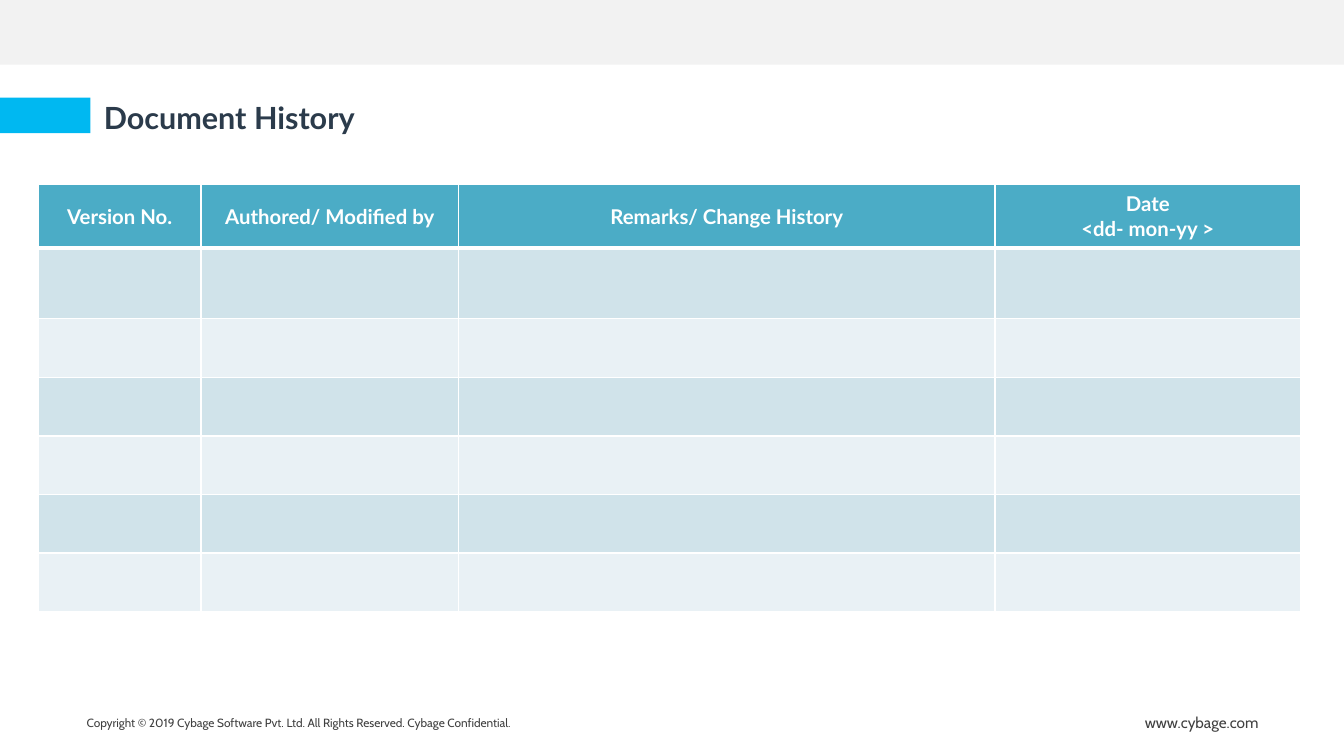
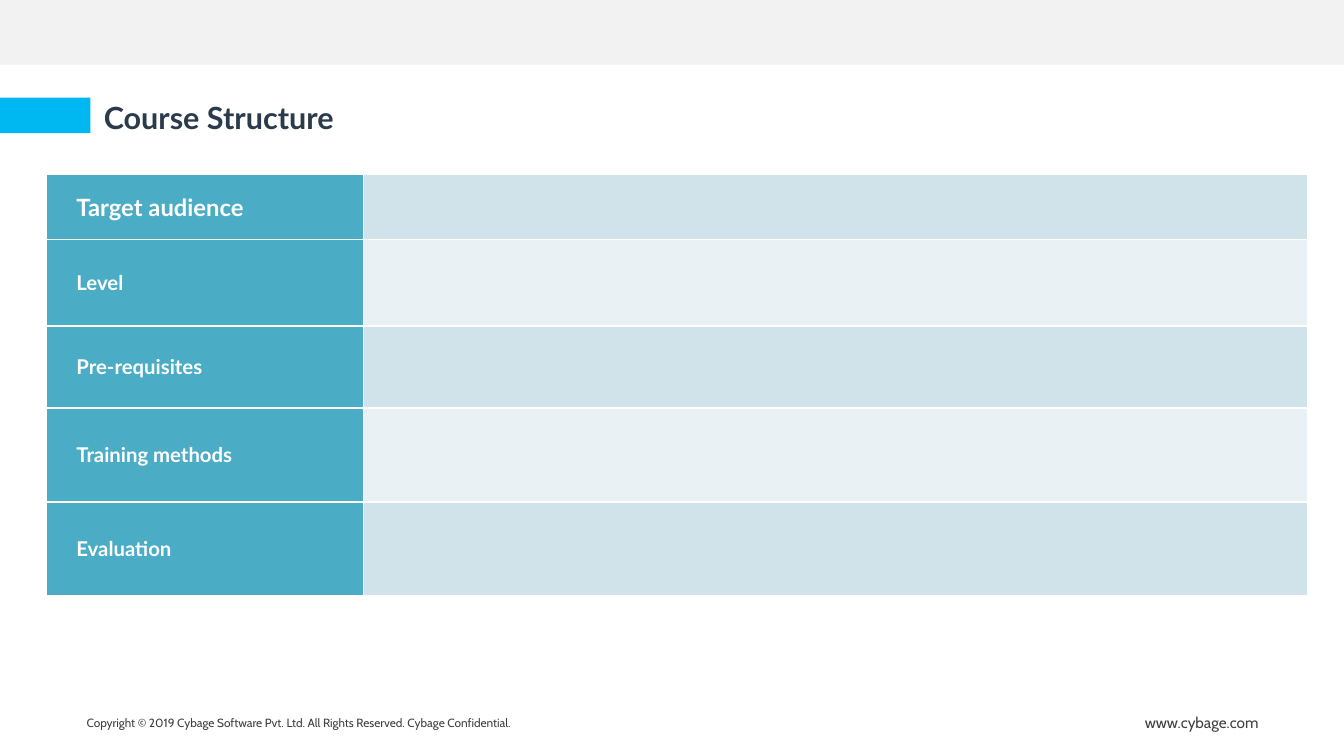
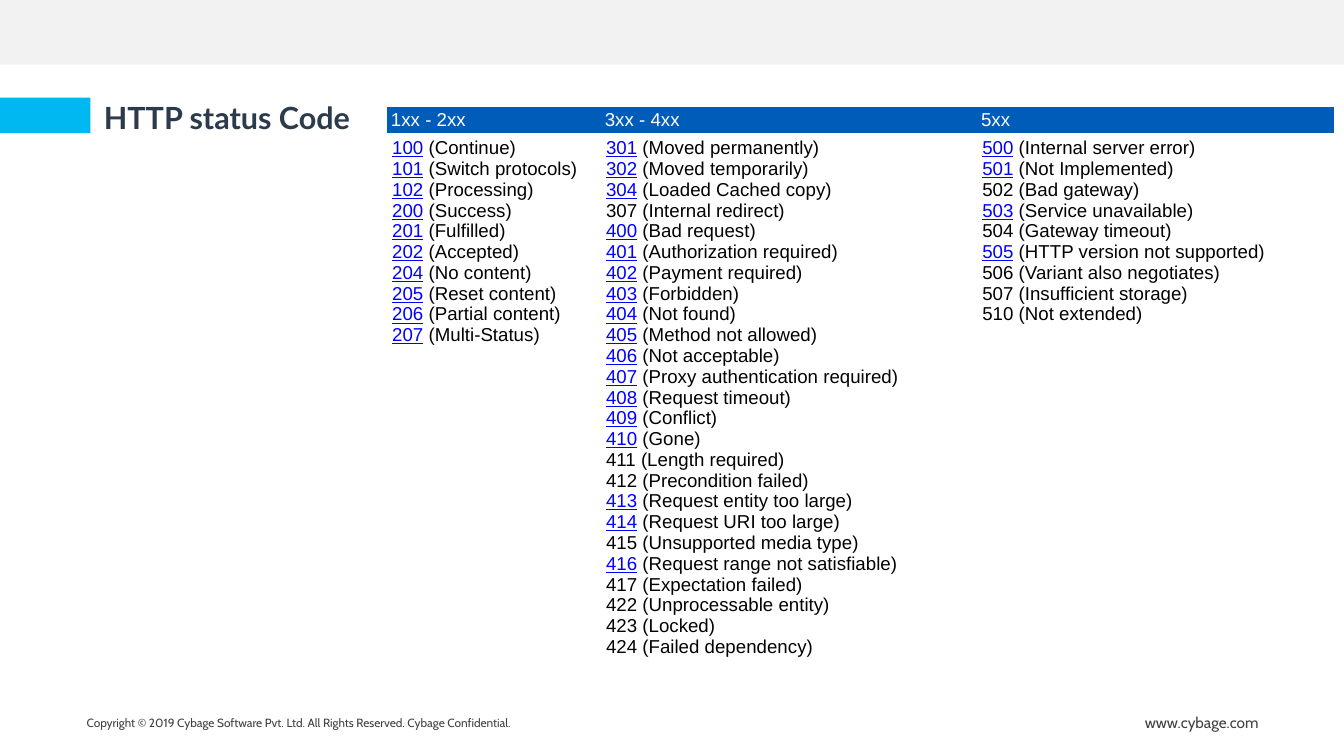
from lxml.etree import SubElement
from pptx import Presentation
from pptx.dml.color import RGBColor
from pptx.enum.shapes import MSO_SHAPE as Shape
from pptx.enum.text import MSO_ANCHOR as Anchor, MSO_AUTO_SIZE as AutoSize, PP_ALIGN as Align
from pptx.oxml.ns import qn
from pptx.util import Inches, Pt

# Grid: square cells, 110 columns by 61.9 rows
CELL = Inches(0.1)
COLUMNS, ROWS = 110, 61.9
TITLE_ONLY = 5
PLAIN_TABLE = "{2D5ABB26-0587-4C30-8999-92F81FD0307C}"

# Colours
WHITE = RGBColor(0xFF, 0xFF, 0xFF)
BLACK = RGBColor(0x00, 0x00, 0x00)
PALE_GREY = RGBColor(0xF2, 0xF2, 0xF2)
DARK_GREY = RGBColor(0x40, 0x40, 0x40)
SKY = RGBColor(0x00, 0xB8, 0xF1)
NAVY = RGBColor(0x2B, 0x3B, 0x4B)
TEAL = RGBColor(0x4B, 0xAC, 0xC6)
BANDS = RGBColor(0xD0, 0xE3, 0xEA), RGBColor(0xE9, 0xF1, 0xF5)
BLUE = RGBColor(0x00, 0x5C, 0xB9)
LINK = RGBColor(0x00, 0x00, 0xFF)

# Text formats
TITLE = {"name": "Lato", "size": Pt(18), "bold": True, "color": NAVY}
COPYRIGHT = {"name": "Cabin", "size": Pt(7), "color": DARK_GREY}
SITE = COPYRIGHT | {"size": Pt(9)}
HEADING = {"name": "Lato", "size": Pt(12), "bold": True, "color": WHITE}
FIRST_HEADING = HEADING | {"size": Pt(14)}
CODE_HEADING = {"name": "Arial", "size": Pt(11), "color": WHITE}
CODE = CODE_HEADING | {"color": BLACK}
CODE_LINK = CODE | {"color": LINK, "underline": True}

# Wording
HISTORY_HEADINGS = ["Version No.", "Authored/ Modified by", "Remarks/ Change History",
                    "Date\n<dd- mon-yy >"]
COURSE_TOPICS = ["Target audience", "Level", "Pre-requisites", "Training methods", "Evaluation"]
UNLINKED = {"307", "411", "412", "415", "417", "422", "423", "424",
            "502", "504", "506", "507", "510"}
STATUS_CODES = {
    "1xx - 2xx": """100 (Continue)
101 (Switch protocols)
102 (Processing)
200 (Success)
201 (Fulfilled)
202 (Accepted)
204 (No content)
205 (Reset content)
206 (Partial content)
207 (Multi-Status)""",
    "3xx - 4xx": """301 (Moved permanently)
302 (Moved temporarily)
304 (Loaded Cached copy)
307 (Internal redirect)
400 (Bad request)
401 (Authorization required)
402 (Payment required)
403 (Forbidden)
404 (Not found)
405 (Method not allowed)
406 (Not acceptable)
407 (Proxy authentication required)
408 (Request timeout)
409 (Conflict)
410 (Gone)
411 (Length required)
412 (Precondition failed)
413 (Request entity too large)
414 (Request URI too large)
415 (Unsupported media type)
416 (Request range not satisfiable)
417 (Expectation failed)
422 (Unprocessable entity)
423 (Locked)
424 (Failed dependency)""",
    "5xx": """500 (Internal server error)
501 (Not Implemented)
502 (Bad gateway)
503 (Service unavailable)
504 (Gateway timeout)
505 (HTTP version not supported)
506 (Variant also negotiates)
507 (Insufficient storage)
510 (Not extended)""",
}


def grid(*cells):
    return [round(cell * CELL) for cell in cells]


def set_margins(target, side, edge):
    target.margin_left = target.margin_right = Inches(side)
    target.margin_top = target.margin_bottom = Inches(edge)


def add_span(para, text, look):
    span = para.add_run()
    span.text = text
    for name, value in look.items():
        if name == "color":
            span.font.color.rgb = value
        else:
            setattr(span.font, name, value)


def add_lines(frame, text, look, align=Align.LEFT, indent=0.0):
    for number, line in enumerate(text.split("\n")):
        para = frame.add_paragraph() if number else frame.paragraphs[0]
        para.alignment = align
        if indent:
            para._p.get_or_add_pPr().set("indent", str(Inches(indent)))
        add_span(para, line, look)


def draw_borders(cell, **widths):
    """Give a cell white edges; L, R, T or B overrides a width in points."""
    properties = cell._tc.get_or_add_tcPr()
    for edge in "LRTB":
        line = SubElement(properties, qn(f"a:ln{edge}"), w=str(Pt(widths.get(edge, 1))))
        fill = SubElement(line, qn("a:solidFill"))
        SubElement(fill, qn("a:srgbClr"), val=str(WHITE))


def fill_cell(cell, color):
    cell.fill.solid()
    cell.fill.fore_color.rgb = color


class CourseDeck:
    def __init__(self):
        self.deck = Presentation()
        self.deck.slide_width, self.deck.slide_height = grid(COLUMNS, ROWS)
        self.page = None

    def add_page(self):
        layout = self.deck.slide_layouts[TITLE_ONLY]
        self.page = self.deck.slides.add_slide(layout)
        self.block((0, 0, COLUMNS, 5.3), PALE_GREY)
        self.text((5.8, 58.1, 55, 2.2),
                  "Copyright © 2019 Cybage Software Pvt. Ltd. All Rights Reserved. "
                  "Cybage Confidential.", COPYRIGHT, side=0.13)
        self.text((92.6, 57.9, 13, 2.6), "www.cybage.com", SITE)
        self.block((0, 8, 7.4, 2.9), SKY)

    def block(self, at, color):
        block = self.page.shapes.add_shape(Shape.RECTANGLE, *grid(*at))
        block.shadow.inherit = False
        block.fill.solid()
        block.fill.fore_color.rgb = color
        block.line.fill.background()

    def text(self, at, text, look, side=0.11):
        box = self.page.shapes.add_textbox(*grid(*at))
        self.fill_frame(box.text_frame, text, look, side)

    def title(self, text, width=78.4):
        """Place the title above everything drawn so far."""
        title = self.page.shapes.title
        title.left, title.top, title.width, title.height = grid(7.4, 7.6, width, 5)
        self.fill_frame(title.text_frame, text, TITLE)
        self.page.shapes._spTree.append(title._element)

    def fill_frame(self, frame, text, look, side=0.11):
        frame.word_wrap = True
        frame.auto_size = AutoSize.NONE
        frame.vertical_anchor = Anchor.TOP
        set_margins(frame, side, 0.05)
        add_lines(frame, text, look)

    def table(self, left, top, widths, heights):
        holder = self.page.shapes.add_table(
            len(heights), len(widths), *grid(left, top, sum(widths), sum(heights)))
        table = holder.table
        table.first_row = table.horz_banding = False
        table._tbl.tblPr.find(qn("a:tableStyleId")).text = PLAIN_TABLE
        for column, width in zip(table.columns, grid(*widths)):
            column.width = width
        for row, height in zip(table.rows, grid(*heights)):
            row.height = height
        return table

    def heading(self, cell, text, color, look, margins=(0.1, 0.05), **layout):
        cell.vertical_anchor = Anchor.MIDDLE
        set_margins(cell, *margins)
        fill_cell(cell, color)
        add_lines(cell.text_frame, text, look, **layout)


def add_history(course):
    course.add_page()
    course.title("Document History")
    table = course.table(3.15, 15.1, [13.3, 21.1, 43.9, 25], [5.2, 5.8] + [4.8] * 5)
    for number, row in enumerate(table.rows):
        edges = [{"B": 3}, {"T": 3}][number] if number < 2 else {}
        for column, cell in enumerate(row.cells):
            draw_borders(cell, **edges)
            if number:
                fill_cell(cell, BANDS[(number - 1) % 2])
            else:
                course.heading(cell, HISTORY_HEADINGS[column], TEAL, HEADING,
                               align=Align.CENTER)


def add_structure(course):
    course.add_page()
    course.title("Course Structure")
    table = course.table(3.75, 14.3, [26, 77.3], [5.3, 7.1, 6.7, 7.7, 7.7])
    for number, topic in enumerate(COURSE_TOPICS):
        name, detail = table.cell(number, 0), table.cell(number, 1)
        draw_borders(name)
        draw_borders(detail)
        look = HEADING if number else FIRST_HEADING
        course.heading(name, topic, TEAL, look, indent=0.15)
        fill_cell(detail, BANDS[number % 2])


def add_status_codes(course):
    course.add_page()
    table = course.table(31.7, 8.8, [17.5, 30.8, 29.2], [1.9, 41.1])
    for column, (group, lines) in enumerate(STATUS_CODES.items()):
        course.heading(table.cell(0, column), group, BLUE, CODE_HEADING, (0.03, 0.02))
        cell = table.cell(1, column)
        set_margins(cell, 0.04, 0.04)
        fill_cell(cell, WHITE)
        frame = cell.text_frame
        for number, line in enumerate(lines.split("\n")):
            para = frame.add_paragraph() if number else frame.paragraphs[0]
            code, reason = line.split(" ", 1)
            add_span(para, code, CODE if code in UNLINKED else CODE_LINK)
            add_span(para, f" {reason}", CODE)
    course.title("HTTP status Code", width=44.3)


def main():
    course = CourseDeck()
    add_history(course)
    add_structure(course)
    add_status_codes(course)
    course.deck.save("out.pptx")


if __name__ == "__main__":
    main()
